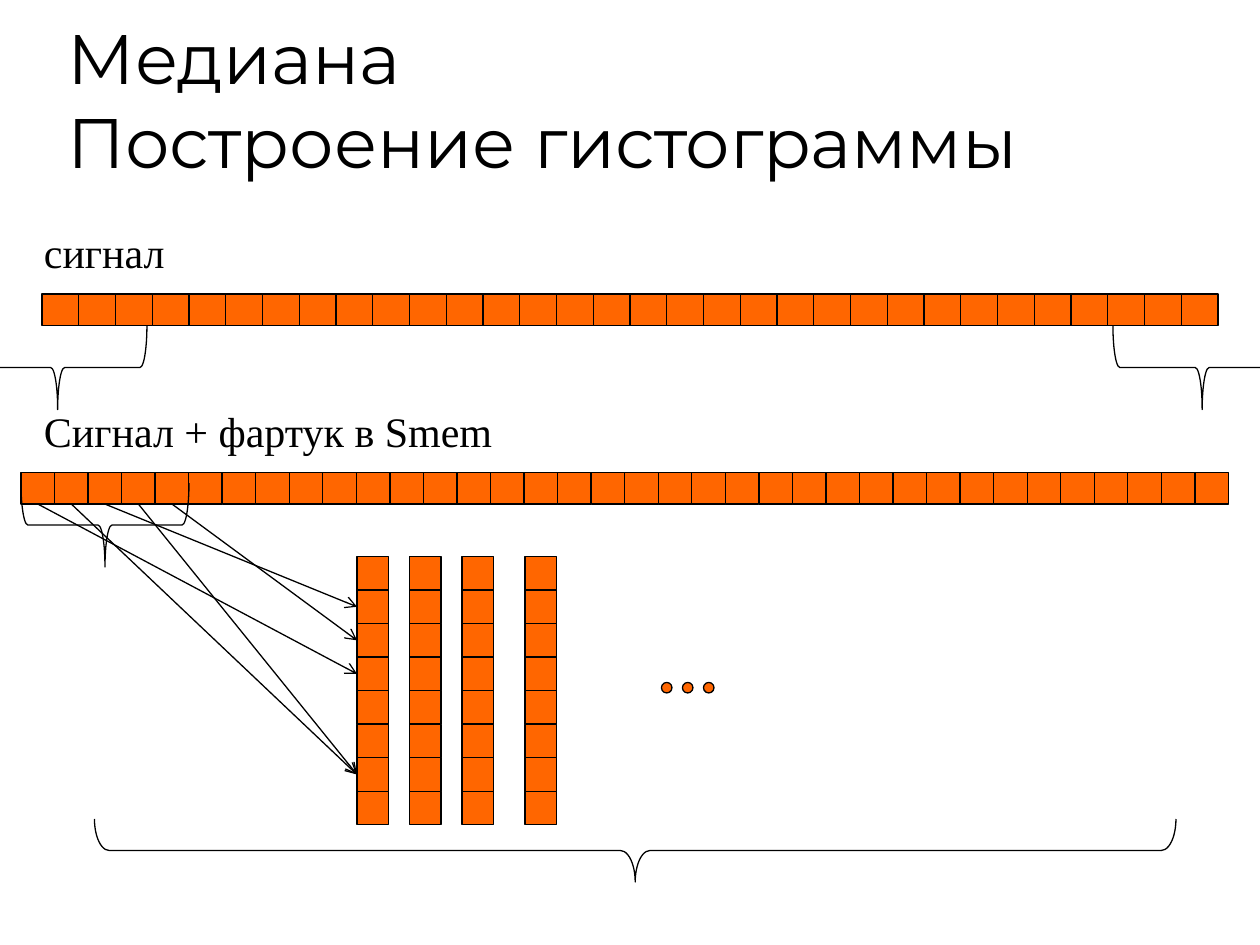
import pptx
import pptx.dml.color
import pptx.enum.shapes
import pptx.enum.text
import pptx.oxml
import pptx.oxml.ns
import pptx.util
from pptx.util import Pt

SHAPE = pptx.enum.shapes.MSO_SHAPE
ORANGE = "FF6600"
BLACK = "000000"
CELL_DEPTH = 18
SIGNAL_CELLS = 32
SHARED_CELLS = 36
SHARED_LEFT, SHARED_TOP, SHARED_WIDTH = 12, 270, 690
SHARED_STEP = SHARED_WIDTH / SHARED_CELLS
HISTOGRAM_LEFTS = (204, 234, 264, 300)
HISTOGRAM_TOP = 318
BINS = 8
BIN_OF_CELL = (3, 6, 1, 6, 2)


def color(hex_value):
    return pptx.dml.color.RGBColor.from_string(hex_value)


def add_text(slide, box, text, size, font, anchor):
    label = slide.shapes.add_textbox(*map(Pt, box))
    frame = label.text_frame
    frame.word_wrap = True
    frame.vertical_anchor = anchor
    paragraph = frame.paragraphs[0]
    paragraph.text = text
    paragraph.font.size = Pt(size)
    paragraph.font.name = font
    paragraph.font.color.rgb = color(BLACK)


def add_outlined(slide, preset, box, fill=None):
    shape = slide.shapes.add_shape(preset, *map(Pt, box))
    shape.shadow.inherit = False
    if fill:
        shape.fill.solid()
        shape.fill.fore_color.rgb = color(fill)
    else:
        shape.fill.background()
    shape.line.color.rgb = color(BLACK)
    shape.line.width = Pt(0.75)
    return shape


def add_cells(slide, box, columns=1, rows=1):
    """Divide the box evenly into orange cells."""
    left, top, width, height = box
    cell_width, cell_height = width / columns, height / rows
    for row in range(rows):
        for column in range(columns):
            cell = (left + column * cell_width, top + row * cell_height,
                    cell_width, cell_height)
            add_outlined(slide, SHAPE.RECTANGLE, cell, ORANGE)


def add_brace_below(slide, box, curl=0.083):
    """Turn a left brace so that it fills the box with its tip down."""
    left, top, width, height = box
    upright = (left + (width - height) / 2, top + (height - width) / 2,
               height, width)
    brace = add_outlined(slide, SHAPE.LEFT_BRACE, upright)
    brace.rotation = 270
    brace.adjustments[0] = curl
    brace.adjustments[1] = 0.5


def add_arrow(slide, start, end):
    arrow = slide.shapes.add_connector(
        pptx.enum.shapes.MSO_CONNECTOR.STRAIGHT, *map(Pt, start + end))
    arrow.line.color.rgb = color(BLACK)
    arrow.line.width = Pt(0.75)
    head = pptx.oxml.parse_xml(
        f'<a:tailEnd {pptx.oxml.ns.nsdecls("a")} type="arrow"/>')
    arrow.line._get_or_add_ln().append(head)
    arrow._element.spPr.append(
        pptx.oxml.parse_xml(f'<a:effectLst {pptx.oxml.ns.nsdecls("a")}/>'))


def add_labelled_row(slide, box, label, label_top, cells):
    add_text(slide, (18, label_top, 306, 36), label, 24, "Times New Roman",
             pptx.enum.text.MSO_ANCHOR.TOP)
    add_cells(slide, box, columns=cells)


def add_signal(slide, box):
    add_labelled_row(slide, box, "сигнал", 126, SIGNAL_CELLS)
    for brace_left in (-18, 636):
        add_brace_below(slide, (brace_left, box[1] + CELL_DEPTH, 102, 48))


def add_shared_memory(slide, box):
    add_labelled_row(slide, box, "Сигнал + фартук в Smem", 228, SHARED_CELLS)
    add_brace_below(slide, (box[0], box[1] + 6, 96, 48))


def add_histograms(slide, lefts, top):
    for left in lefts:
        add_cells(slide, (left, top, CELL_DEPTH, BINS * SHARED_STEP), rows=BINS)
    for cell, bin_index in enumerate(BIN_OF_CELL):
        start = (SHARED_LEFT + (cell + 0.5) * SHARED_STEP,
                 SHARED_TOP + CELL_DEPTH)
        end = (lefts[0], top + (bin_index + 0.5) * SHARED_STEP)
        add_arrow(slide, start, end)
    add_brace_below(slide, (54, 468, 618, 36), curl=0.235)


def add_ellipsis(slide, left, top):
    for dot in range(3):
        add_outlined(slide, SHAPE.OVAL, (left + 12 * dot, top, 6, 6), ORANGE)


def main():
    presentation = pptx.Presentation()
    presentation.slide_width = Pt(720)
    presentation.slide_height = Pt(540)
    slide = presentation.slides.add_slide(presentation.slide_layouts[6])

    add_text(slide, (31.7, 18, 612, 90), "Медиана\vПостроение гистограммы",
             40, "Montserrat", pptx.enum.text.MSO_ANCHOR.BOTTOM)
    add_signal(slide, (24, 168, 672, CELL_DEPTH))
    add_shared_memory(
        slide, (SHARED_LEFT, SHARED_TOP, SHARED_WIDTH, CELL_DEPTH))
    add_histograms(slide, HISTOGRAM_LEFTS, HISTOGRAM_TOP)
    add_ellipsis(slide, 378, 390)
    presentation.save("out.pptx")


if __name__ == "__main__":
    main()
